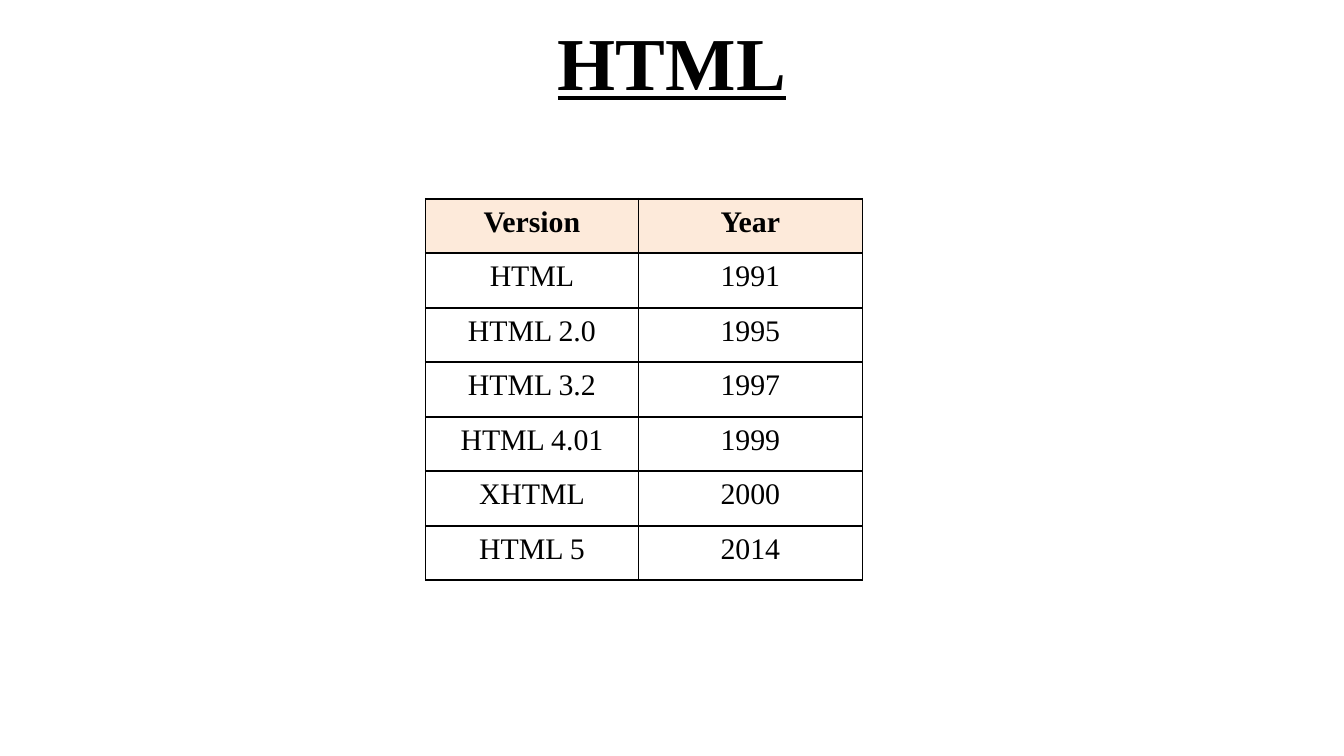
from dataclasses import dataclass

from lxml.etree import SubElement
from pptx import Presentation
from pptx.dml.color import RGBColor
from pptx.enum.text import MSO_ANCHOR, PP_ALIGN
from pptx.oxml.ns import qn
from pptx.util import Pt


@dataclass(frozen=True)
class Theme:
    """Colours, font and type sizes of the deck."""
    font: str = "Times New Roman"
    ink: str = "000000"
    paper: str = "FFFFFF"
    header_fill: str = "FDEADA"
    title_size: int = 40
    table_size: int = 16
    border_width: int = 1


class SlideBuilder:
    """Draws styled elements on the current slide."""

    def __init__(self, theme, slide):
        """Keep the theme and the slide, and paint the background."""
        self.theme = theme
        self.slide = slide
        fill = slide.background.fill
        fill.solid()
        fill.fore_color.rgb = RGBColor.from_string(theme.paper)

    def set_text(self, frame, text, size, bold=False, underline=None):
        """Put one centred paragraph into a text frame."""
        para = frame.paragraphs[0]
        para.text = text
        para.alignment = PP_ALIGN.CENTER
        font = para.font
        font.name, font.size = self.theme.font, Pt(size)
        font.bold, font.underline = bold, underline
        font.color.rgb = RGBColor.from_string(self.theme.ink)

    def title(self, text, left, top, width, height):
        """Add the underlined slide title."""
        box = self.slide.shapes.add_textbox(Pt(left), Pt(top), Pt(width), Pt(height))
        frame = box.text_frame
        frame.word_wrap = True
        frame.vertical_anchor = MSO_ANCHOR.MIDDLE
        self.set_text(frame, text, self.theme.title_size, bold=True, underline=True)

    def border(self, cell):
        """Line all four sides of a cell, ahead of its fill."""
        properties = cell._tc.get_or_add_tcPr()
        for side in ("a:lnL", "a:lnR", "a:lnT", "a:lnB"):
            line = SubElement(properties, qn(side), w=str(Pt(self.theme.border_width)))
            solid = SubElement(line, qn("a:solidFill"))
            SubElement(solid, qn("a:srgbClr"), val=self.theme.ink)

    def table(self, rows, left, top, column_widths, row_height):
        """Add a bordered table whose first row is the header."""
        table = self.slide.shapes.add_table(
            len(rows), len(column_widths), Pt(left), Pt(top),
            Pt(sum(column_widths)), Pt(row_height * len(rows))).table
        table.horz_banding = False
        for column, width in zip(table.columns, column_widths):
            column.width = Pt(width)
        for row_index, values in enumerate(rows):
            is_header = row_index == 0
            table.rows[row_index].height = Pt(row_height)
            for cell, text in zip(table.rows[row_index].cells, values):
                self.border(cell)
                if is_header:
                    cell.fill.solid()
                    cell.fill.fore_color.rgb = RGBColor.from_string(self.theme.header_fill)
                else:
                    cell.fill.background()
                self.set_text(cell.text_frame, text, self.theme.table_size, bold=is_header)


def main():
    """Build and save the deck."""
    deck = Presentation()
    deck.slide_width, deck.slide_height = Pt(720), Pt(405)
    page = SlideBuilder(Theme(), deck.slides.add_slide(deck.slide_layouts[6]))
    page.title("HTML", left=36, top=-1.5, width=648, height=67.5)
    versions = [
        ("Version", "Year"),
        ("HTML", "1991"),
        ("HTML 2.0", "1995"),
        ("HTML 3.2", "1997"),
        ("HTML 4.01", "1999"),
        ("XHTML", "2000"),
        ("HTML 5", "2014"),
    ]
    page.table(versions, left=228, top=106.5, column_widths=(114, 120), row_height=29.2)
    deck.save("out.pptx")


main()
